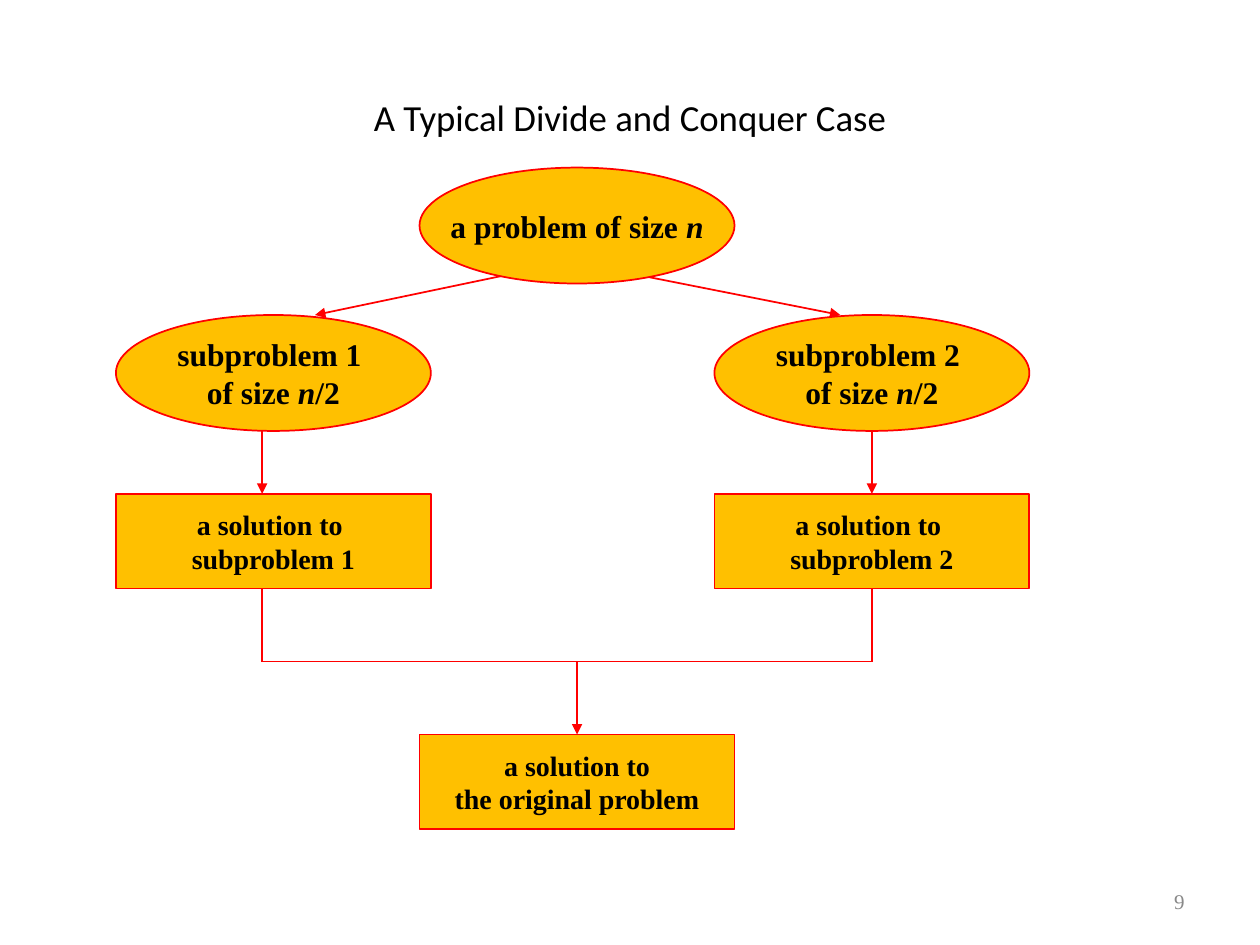
from lxml import etree
from pptx import Presentation
from pptx.dml.color import RGBColor
from pptx.enum.shapes import MSO_CONNECTOR as CONN, MSO_SHAPE as SHAPE
from pptx.enum.text import MSO_ANCHOR as ANCHOR, PP_ALIGN as ALIGN
from pptx.oxml.ns import qn
from pptx.util import Inches, Pt

TITLE = "A Typical Divide and Conquer Case"
PAGE = "9"
SERIF = "Times New Roman"
GOLD, RED, BLACK, GREY = "FFC000", "FF0000", "000000", "898989"

NODE_W = 2.5
LEFT, MID, RIGHT = 0.92, 3.33, 5.67
STEM_L, STEM_M, STEM_R = 2.08, 4.58, 6.92
JOIN_Y = 5.25
KINDS = {
    "problem": (SHAPE.OVAL, 0.92, 18),
    "solution": (SHAPE.RECTANGLE, 0.75, 16),
}

ROOT = ("problem", MID, 1.33, [["a problem of size ", "n"]])
RESULT = ("solution", MID, 5.83, [["a solution to"], ["the original problem"]])
BRANCHES = []
for number, left in ((1, LEFT), (2, RIGHT)):
    BRANCHES += [
        ("problem", left, 2.5, [[f"subproblem {number} "], ["of size ", "n", "/2"]]),
        ("solution", left, 3.92, [["a solution to "], [f"subproblem {number}"]]),
    ]

SPLITS = [((4.08, 2.17), (2.5, 2.5), True), ((5, 2.17), (6.67, 2.5), True)]
FLOWS = [((STEM_L, JOIN_Y), (STEM_R, JOIN_Y), False),
         ((STEM_M, JOIN_Y), (STEM_M, 5.83), True)]
for x in (STEM_L, STEM_R):
    FLOWS += [((x, 3.42), (x, 3.92), True), ((x, 4.67), (x, JOIN_Y), False)]


def rgb(color):
    return RGBColor.from_string(color)


def add_run(p, text, size, font, color, bold=False, italic=False):
    r = p.add_run()
    r.text = text
    f = r.font
    f.size, f.name, f.bold, f.italic = Pt(size), font, bold, italic
    f.color.rgb = rgb(color)


def add_node(kind, left, top, lines):
    preset, height, size = KINDS[kind]
    sp = slide.shapes.add_shape(preset, *map(Inches, (left, top, NODE_W, height)))
    sp.shadow.inherit = False
    sp.fill.solid()
    sp.fill.fore_color.rgb = rgb(GOLD)
    sp.line.color.rgb = rgb(RED)
    sp.line.width = Pt(1)
    tf = sp.text_frame
    tf.word_wrap = False
    tf.vertical_anchor = ANCHOR.MIDDLE
    for i, line in enumerate(lines):
        p = tf.add_paragraph() if i else tf.paragraphs[0]
        p.alignment = ALIGN.CENTER
        for text in line:
            add_run(p, text, size, SERIF, BLACK, True, text == "n")


def add_line(start, end, arrow):
    cx = slide.shapes.add_connector(CONN.STRAIGHT, *map(Inches, start + end))
    cx.line.color.rgb = rgb(RED)
    cx.line.width = Pt(1)
    if arrow:
        etree.SubElement(cx.line._get_or_add_ln(), qn("a:tailEnd"), type="triangle")
    etree.SubElement(cx._element.spPr, qn("a:effectLst"))


prs = Presentation()
prs.slide_width, prs.slide_height = Inches(10), Inches(7.5)
slide = prs.slides.add_slide(prs.slide_layouts[5])

title = slide.shapes.title
title.left, title.top, title.width, title.height = map(Inches, (0.5, 0.3, 9, 1.25))
title.text_frame.vertical_anchor = ANCHOR.MIDDLE
p = title.text_frame.paragraphs[0]
p.alignment = ALIGN.CENTER
add_run(p, TITLE, 21, "Calibri", BLACK)

for branch in BRANCHES:
    add_node(*branch)
for split in SPLITS:
    add_line(*split)
for node in (ROOT, RESULT):
    add_node(*node)
for flow in FLOWS:
    add_line(*flow)

tf = slide.shapes.add_textbox(*map(Inches, (7.17, 6.95, 2.33, 0.4))).text_frame
tf.word_wrap = True
tf.vertical_anchor = ANCHOR.MIDDLE
p = tf.paragraphs[0]
p.alignment = ALIGN.RIGHT
add_run(p, PAGE, 12, SERIF, GREY)

prs.save("out.pptx")
